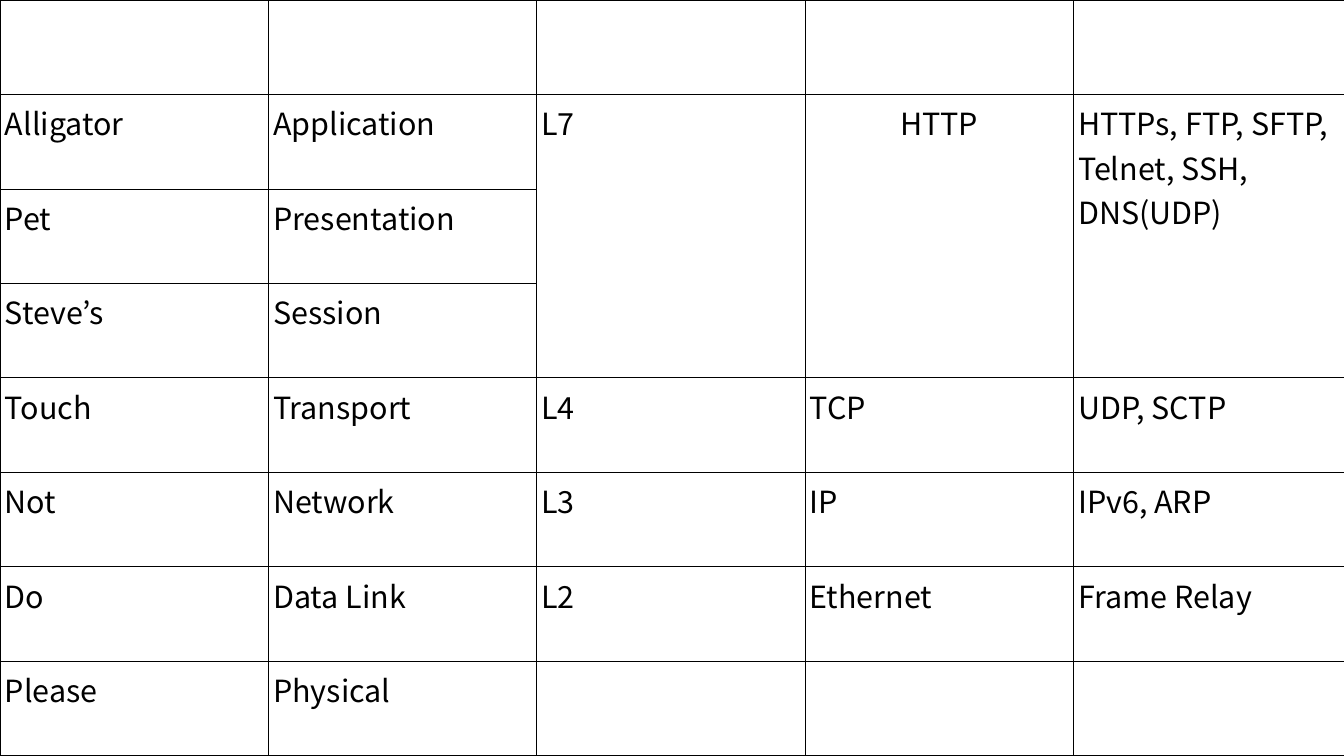
import pptx
import pptx.util
import pptx.dml.color
import pptx.enum.text
import pptx.oxml
import pptx.oxml.ns
from lxml import etree

Pt = pptx.util.Pt
THEME = {
    "font": "Noto Sans CJK KR",
    "size": Pt(18),
    "text": pptx.dml.color.RGBColor.from_string("000000"),
    "background": pptx.dml.color.RGBColor.from_string("FFFFFF"),
    "border": "000000",
    "border_width": Pt(0.57),
}
CELL_FORMAT = {
    "margin_left": Pt(2.88),
    "margin_right": Pt(2.88),
    "margin_top": Pt(3.6),
    "margin_bottom": Pt(3.6),
    "vertical_anchor": pptx.enum.text.MSO_ANCHOR.TOP,
}
FONT_FORMAT = {"name": THEME["font"], "size": THEME["size"], "bold": False}
TABLE_FORMAT = {"first_row": False, "horz_banding": False}

WIDTH, HEIGHT = 793.44, 446.4
COLUMN_WIDTH = 158.4
LAYERS = [
    ["", "", "", "", ""],
    ["Alligator", "Application", "L7", "HTTP", "HTTPs, FTP, SFTP, Telnet, SSH, DNS(UDP)"],
    ["Pet", "Presentation", "", "", ""],
    ["Steve’s", "Session", "", "", ""],
    ["Touch", "Transport", "L4", "TCP", "UDP, SCTP"],
    ["Not", "Network", "L3", "IP", "IPv6, ARP"],
    ["Do", "Data Link", "L2", "Ethernet", "Frame Relay"],
    ["Please", "Physical", "", "", ""],
]
ROW_COUNT, COLUMN_COUNT = len(LAYERS), len(LAYERS[0])


def add_borders(cell):
    properties = cell._tc.get_or_add_tcPr()
    for side in ("a:lnL", "a:lnR", "a:lnT", "a:lnB"):
        line = etree.SubElement(properties, pptx.oxml.ns.qn(side), w=str(THEME["border_width"]))
        fill = etree.SubElement(line, pptx.oxml.ns.qn("a:solidFill"))
        etree.SubElement(fill, pptx.oxml.ns.qn("a:srgbClr"), val=THEME["border"])


presentation = pptx.Presentation()
presentation.slide_width = Pt(WIDTH)
presentation.slide_height = Pt(HEIGHT)
slide = presentation.slides.add_slide(presentation.slide_layouts[6])

table = slide.shapes.add_table(ROW_COUNT, COLUMN_COUNT, Pt(0), Pt(0), Pt(WIDTH), Pt(HEIGHT)).table
for name, value in TABLE_FORMAT.items():
    setattr(table, name, value)
for column in table.columns:
    column.width = Pt(COLUMN_WIDTH)
table.columns[COLUMN_COUNT - 1].width = Pt(WIDTH - COLUMN_WIDTH * (COLUMN_COUNT - 1))
for row in table.rows:
    row.height = Pt(HEIGHT / ROW_COUNT)

for row_index, layer in enumerate(LAYERS):
    for column_index, text in enumerate(layer):
        cell = table.cell(row_index, column_index)
        add_borders(cell)
        cell.fill.solid()
        cell.fill.fore_color.rgb = THEME["background"]
        for name, value in CELL_FORMAT.items():
            setattr(cell, name, value)
        paragraph = cell.text_frame.paragraphs[0]
        if text:
            run = paragraph.add_run()
            run.text = text
            for name, value in FONT_FORMAT.items():
                setattr(run.font, name, value)
            run.font.color.rgb = THEME["text"]
        if text == "HTTP":
            paragraph.alignment = pptx.enum.text.PP_ALIGN.CENTER

for column_index in range(2, COLUMN_COUNT):
    table.cell(1, column_index).merge(table.cell(3, column_index))

presentation.save("out.pptx")
